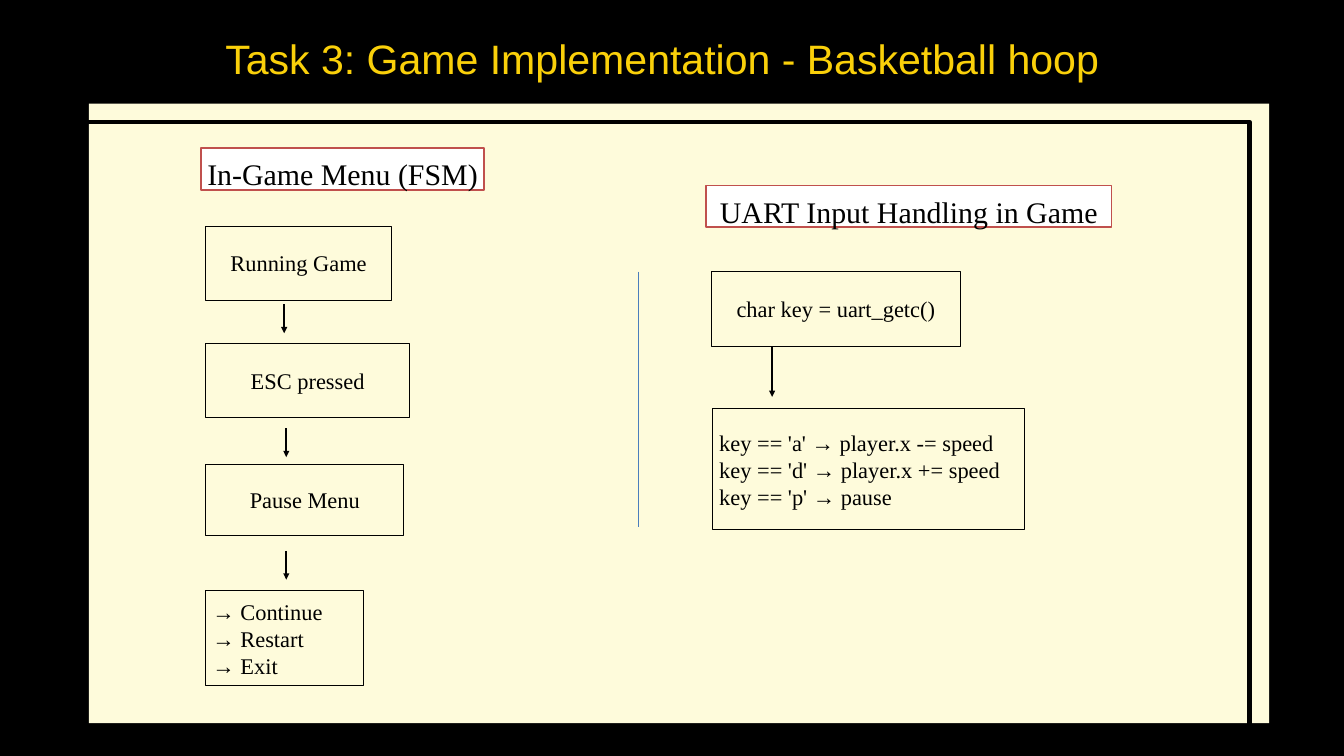
from lxml.etree import SubElement
from pptx import Presentation
from pptx.dml.color import RGBColor
from pptx.enum.shapes import MSO_CONNECTOR as Conn, MSO_SHAPE as Kind
from pptx.enum.text import MSO_ANCHOR as Anchor, MSO_AUTO_SIZE as Fit, PP_ALIGN as Align
from pptx.oxml.ns import qn
from pptx.util import Pt

PX = 9525  # EMU per px, slide is 1920 x 1080 px
BLACK = RGBColor(0x00, 0x00, 0x00)
WHITE = RGBColor(0xFF, 0xFF, 0xFF)
GOLD = RGBColor(0xFA, 0xD0, 0x0A)
CREAM = RGBColor(0xFE, 0xFB, 0xDB)
RED = RGBColor(0xC0, 0x50, 0x4D)
BLUE = RGBColor(0x4B, 0x7E, 0xBC)
SERIF = "Times New Roman"


def px(*sizes):
    return [size * PX for size in sizes]


def write(frame, text, font, size, color, align, lead=None):
    frame.text = text
    for par in frame.paragraphs:
        par.alignment = align
        if lead:
            par.line_spacing = Pt(lead)
        par.font.name = font
        par.font.size = Pt(size)
        par.font.color.rgb = color


def trim(frame):
    """Text starts at the very top of its box, with no insets."""
    frame.margin_left = frame.margin_right = 0
    frame.margin_top = frame.margin_bottom = 0
    frame.vertical_anchor = Anchor.TOP
    frame.auto_size = Fit.NONE


def rect(slide, x, y, w, h, fill=None, line=None, width=1):
    shape = slide.shapes.add_shape(Kind.RECTANGLE, *px(x, y, w, h))
    shape.shadow.inherit = False
    if fill is None:
        shape.fill.background()
    else:
        shape.fill.solid()
        shape.fill.fore_color.rgb = fill
    if line is None:
        shape.line.fill.background()
    else:
        shape.line.color.rgb = line
        shape.line.width = Pt(width)
    return shape


def head(slide, x, y, w, text):
    frame = rect(slide, x, y, w, 59, WHITE, RED, 2).text_frame
    trim(frame)
    write(frame, text, SERIF, 32, BLACK, Align.CENTER, 46.7)


def step(slide, x, y, w, h, text, align=Align.CENTER, lead=None):
    frame = rect(slide, x, y, w, h, line=BLACK).text_frame
    frame.vertical_anchor = Anchor.MIDDLE
    write(frame, text, SERIF, 24, BLACK, align, lead)


def rule(slide, x, top, end, color, width, arrow=False):
    """Vertical line, with an arrowhead at its lower end if asked."""
    line = slide.shapes.add_connector(Conn.STRAIGHT, *px(x, top, x, end))
    line.line.color.rgb = color
    line.line.width = Pt(width)
    if arrow:
        SubElement(line.line._get_or_add_ln(), qn("a:tailEnd"), type="triangle")
    SubElement(line._element.spPr, qn("a:effectLst"))


def title(slide, x, y, w, h):
    box = slide.shapes.title
    box.left, box.top, box.width, box.height = px(x, y, w, h)
    trim(box.text_frame)
    write(box.text_frame, "Task 3: Game Implementation - Basketball hoop",
          "Arial", 44, GOLD, Align.CENTER, 55.8)


def panel(slide, x, y, w, h):
    rect(slide, x, y, w, h, fill=CREAM)
    rect(slide, x - 19, y + 26, w - 9, h, line=BLACK, width=4.5)
    rule(slide, x + 785, y + 240, y + 605, BLUE, 0.75)


def menu(slide, x, y, w):
    head(slide, x, y, w, "In-Game Menu (FSM)")
    steps = [
        (112, 265, 105, "Running Game", Align.CENTER, 26.6),
        (279, 291, 105, "ESC pressed", Align.CENTER, None),
        (451, 283, 102, "Pause Menu", Align.CENTER, None),
        (632, 225, 136, "→ Continue\n→ Restart\n→ Exit", Align.LEFT, None),
    ]
    for top, wide, high, text, align, lead in steps:
        step(slide, x + 7, y + top, wide, high, text, align, lead)
    for left, top in [(119, 223), (122, 400), (122, 575)]:
        rule(slide, x + left, y + top, y + top + 41, BLACK, 2.25, True)


def keys(slide, x, y, w):
    head(slide, x, y, w, "UART Input Handling in Game")
    step(slide, x + 7, y + 123, 356, 107, "char key = uart_getc()", lead=26.6)
    rule(slide, x + 94, y + 230, y + 302, BLACK, 2.25, True)
    lines = ["key == 'a' → player.x -= speed",
             "key == 'd' → player.x += speed",
             "key == 'p' → pause"]
    step(slide, x + 9, y + 319, 446, 173, "\v".join(lines), Align.LEFT)


def main():
    deck = Presentation()
    deck.slide_width, deck.slide_height = px(1920, 1080)
    slide = deck.slides.add_slide(deck.slide_layouts[5])
    slide.background.fill.solid()
    slide.background.fill.fore_color.rgb = BLACK

    title(slide, 57, 44, 1780, 69)
    panel(slide, 127, 148, 1686, 885)
    menu(slide, 287, 212, 405)
    keys(slide, 1009, 265, 579)
    deck.save("out.pptx")


if __name__ == "__main__":
    main()
